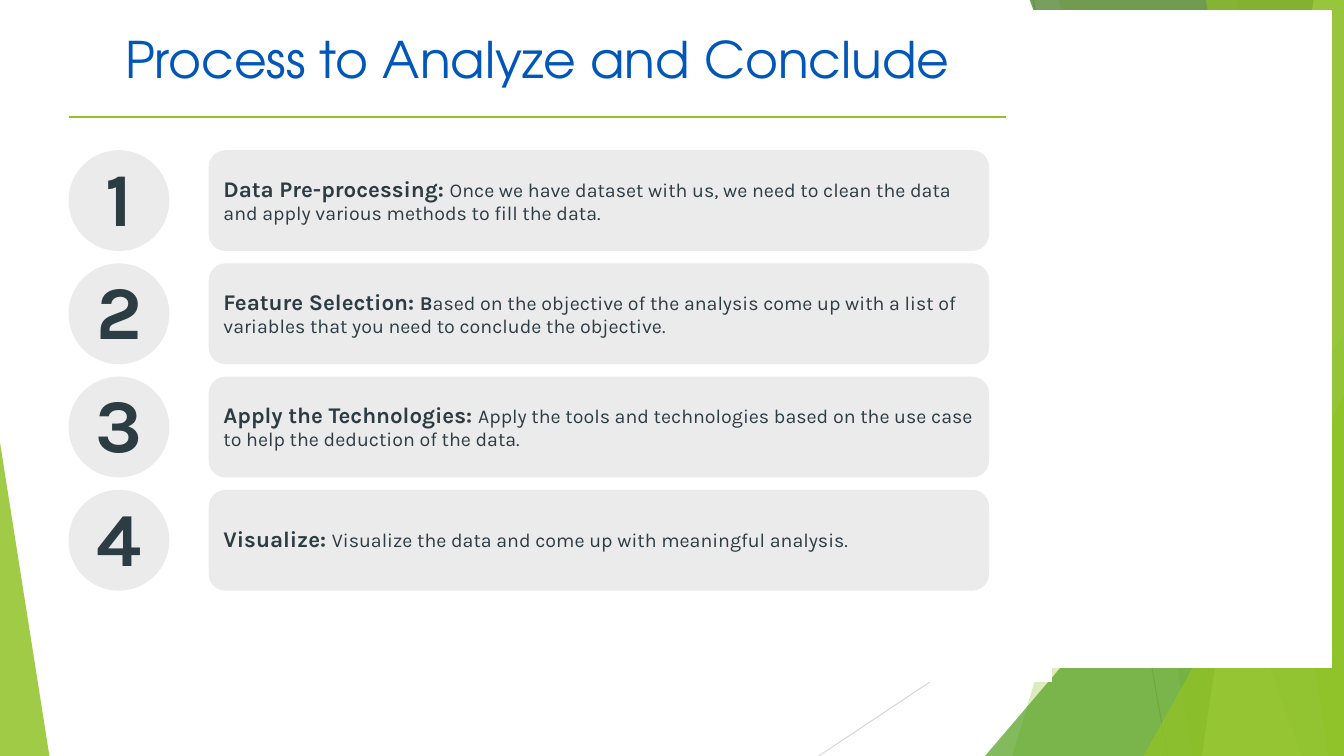
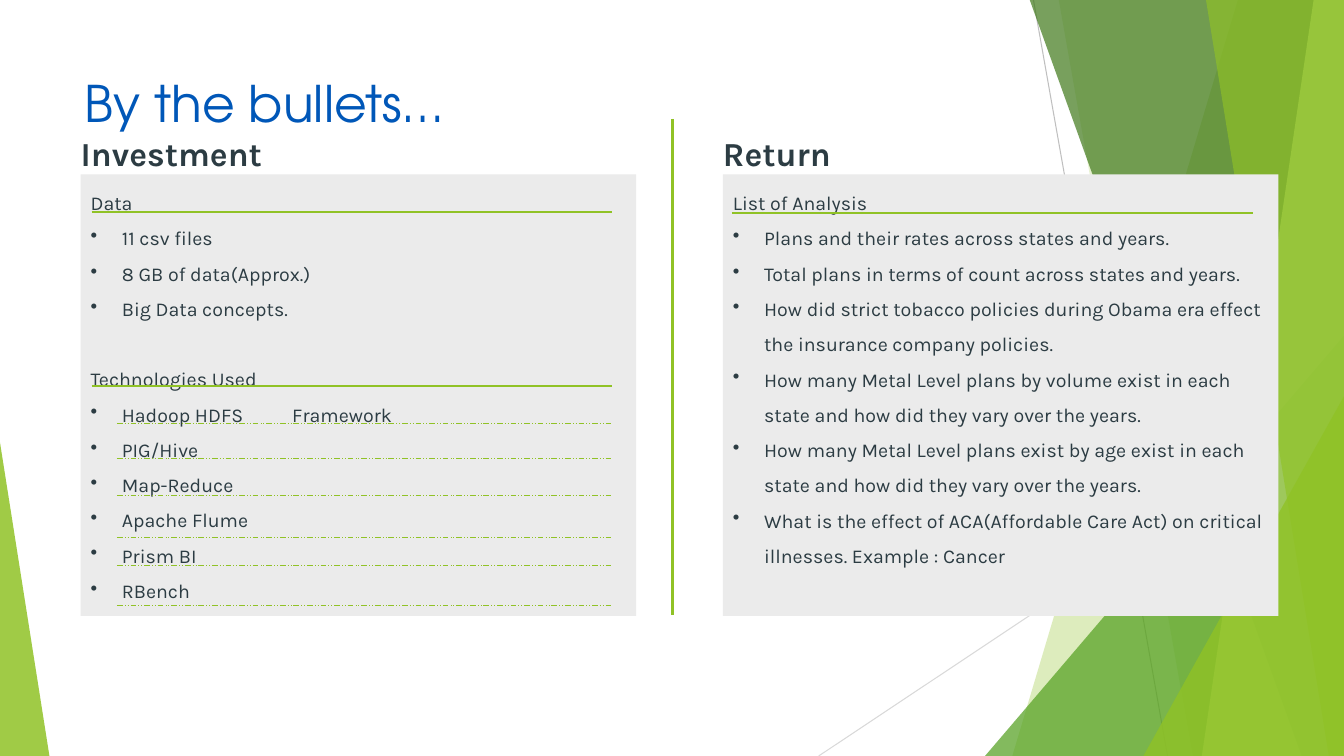
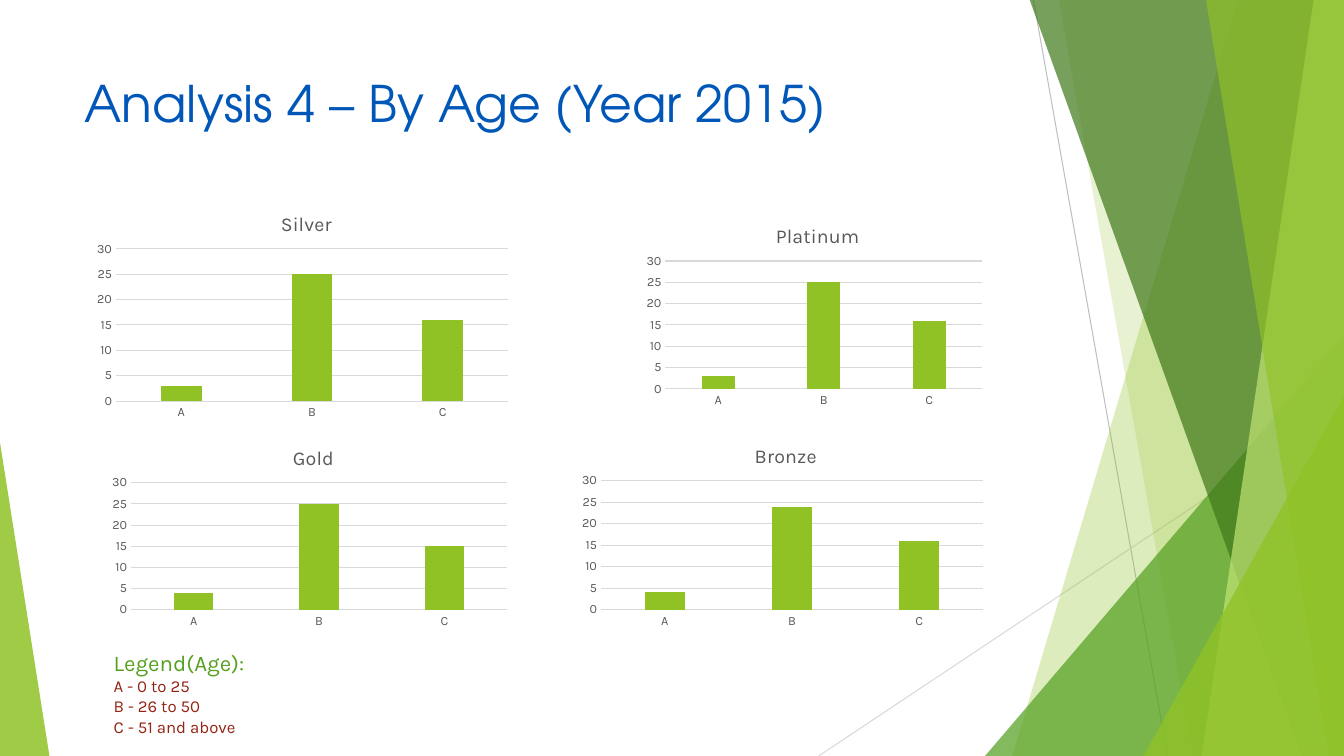
"""Build three slides on insurance plan analysis: process, bullets and charts by age."""
from lxml.etree import SubElement
from pptx import Presentation
from pptx.chart.data import CategoryChartData
from pptx.dml.color import RGBColor
from pptx.enum.chart import XL_CHART_TYPE, XL_TICK_MARK
from pptx.enum.dml import MSO_LINE
from pptx.enum.shapes import MSO_CONNECTOR, MSO_SHAPE
from pptx.enum.text import MSO_ANCHOR, PP_ALIGN
from pptx.oxml.ns import qn
from pptx.util import Inches, Pt

LIME = RGBColor(0x90, 0xC2, 0x26)
PALE_LIME = RGBColor(0xC0, 0xE4, 0x74)
GREEN = RGBColor(0x54, 0xA0, 0x21)
DARK_GREEN = RGBColor(0x3F, 0x78, 0x19)
BLUE = RGBColor(0x00, 0x57, 0xB8)
SLATE = RGBColor(0x2C, 0x3C, 0x43)
RED = RGBColor(0x93, 0x23, 0x13)
WHITE = RGBColor(0xFF, 0xFF, 0xFF)
PANEL = RGBColor(0xEB, 0xEB, 0xEB)
SILVER = RGBColor(0xD9, 0xD9, 0xD9)
GRAY = RGBColor(0xBF, 0xBF, 0xBF)
CHART_TEXT = RGBColor(0x59, 0x59, 0x59)
BODY_FONT = "Karla"
TITLE_FONT = "TeX Gyre Adventor"


def paint(sp, color, alpha=100):
    sp.shadow.inherit = False
    sp.fill.solid()
    sp.fill.fore_color.rgb = color
    if alpha < 100:
        clr = sp.element.find(".//" + qn("a:srgbClr"))
        SubElement(clr, qn("a:alpha")).set("val", str(alpha * 1000))
    sp.line.fill.background()
    return sp


def add_run(p, text, size, color, bold=False, font=BODY_FONT):
    r = p.add_run()
    r.text = text
    r.font.name, r.font.size, r.font.bold = font, Pt(size), bold
    r.font.color.rgb = color


prs = Presentation()
prs.slide_width, prs.slide_height = Inches(13.33), Inches(7.5)
blank = prs.slide_layouts[6]
for ph in list(blank.placeholders):
    blank.shapes.element.remove(ph.element)
process, bullets, ages = [prs.slides.add_slide(blank) for _ in range(3)]

rays = process.shapes.add_group_shape()
wedges = process.shapes.add_group_shape()
for place, color, alpha in [
    ((12.28, 10.04), LIME, 30), ((10.5, 11.83), LIME, 20), ((9.77, 3.33, 3.56, 4.17), GREEN, 72),
    ((10.21, 12.91), DARK_GREEN, 70), ((13.03, 11.92), PALE_LIME, 70), ((11.96, 13.18), LIME, 65),
    ((11.34, 3.93, 1.99, 3.57), LIME, 80), ((0, 4.39, 0.49, 3.11), LIME, 85),
]:
    if len(place) == 4:
        sp = wedges.shapes.add_shape(MSO_SHAPE.ISOSCELES_TRIANGLE, *map(Inches, place))
        sp.adjustments[0] = 1 if place[0] else 0
    else:
        top_x, bottom_x = place
        outline = wedges.shapes.build_freeform(Inches(top_x), Inches(-0.01))
        outline.add_line_segments([(Inches(x), Inches(y)) for x, y in
                                   [(13.33, -0.01), (13.33, 7.5), (bottom_x, 7.5)]])
        sp = outline.convert_to_shape()
    paint(sp, color, alpha)

for s, text, box, align in [
    (process, "Process to Analyze and Conclude", (0.68, 0.23, 9.3, 0.92), PP_ALIGN.CENTER),
    (bullets, "By the bullets…", (0.74, 0.67, 9.4, 1.44), PP_ALIGN.LEFT),
    (ages, "Analysis 4 – By Age (Year 2015)", (0.74, 0.67, 9.4, 1.44), PP_ALIGN.LEFT),
]:
    tf = s.shapes.add_textbox(*map(Inches, box)).text_frame
    tf.word_wrap = True
    tf.paragraphs[0].alignment = align
    add_run(tf.paragraphs[0], text, 36, BLUE, font=TITLE_FONT)

steps = [
    [("Data Pre-processing: ", 16, True),
     ("Once we have dataset with us, we need to clean the data and apply various methods to fill the data.", 14, False)],
    [("Feature Selection: ", 16, True), ("B", 14, True),
     ("ased on the objective of the analysis come up with a list of variables that you need to conclude the objective.",
      14, False)],
    [("Apply the Technologies: ", 16, True),
     ("Apply the tools and technologies based on the use case to help the deduction of the data.", 14, False)],
    [("Visualize: ", 16, True), ("Visualize the data and come up with meaningful analysis.", 14, False)],
]
step_pitch = (4.86 - 1.49) / 3
for i, step in enumerate(steps):
    for kind, left, width, align, runs in [
        (MSO_SHAPE.OVAL, 0.68, 1, PP_ALIGN.CENTER, [(str(i + 1), 54, True)]),
        (MSO_SHAPE.ROUNDED_RECTANGLE, 2.07, 7.74, PP_ALIGN.LEFT, step),
    ]:
        sp = process.shapes.add_shape(kind, Inches(left), Inches(1.49 + i * step_pitch), Inches(width), Inches(1))
        tf = paint(sp, PANEL).text_frame
        tf.word_wrap = True
        tf.vertical_anchor = MSO_ANCHOR.MIDDLE
        p = tf.paragraphs[0]
        p.alignment, p.line_spacing = align, 0.95
        for text, size, bold in runs:
            add_run(p, text, size, SLATE, bold)

for box in [(10.24, 0.11, 2.96, 6.51), (0.68, 5.99, 9.75, 0.77)]:
    sp = paint(process.shapes.add_shape(MSO_SHAPE.RECTANGLE, *map(Inches, box)), WHITE)
    sp.line.color.rgb, sp.line.width = WHITE, Pt(1)

columns = [
    (0.8, "Investment", [
        ("Data", ["11 csv files", "8 GB of data(Approx.)", "Big Data concepts."]),
        ("Technologies Used", ["Hadoop HDFS\tFramework", "PIG/Hive", "Map-Reduce", "Apache Flume",
                               "Prism BI", "RBench"])]),
    (7.17, "Return", [
        ("List of Analysis", [
            "Plans and their rates across states and years.",
            "Total plans in terms of count across states and years.",
            "How did strict tobacco policies during Obama era effect the insurance company policies.",
            "How many Metal Level plans by volume exist in each state and how did they vary over the years.",
            "How many Metal Level plans exist by age exist in each state and how did they vary over the years.",
            "What is the effect of ACA(Affordable Care Act) on critical illnesses. Example : Cancer"])]),
]
for left, heading, sections in columns:
    tf = bullets.shapes.add_textbox(Inches(left), Inches(1.32), Inches(3.25), Inches(0.4)).text_frame
    tf.word_wrap = True
    tf.margin_left = tf.margin_right = tf.margin_top = tf.margin_bottom = 0
    add_run(tf.paragraphs[0], heading, 24, SLATE, True)
    sp = bullets.shapes.add_shape(MSO_SHAPE.RECTANGLE, Inches(left), Inches(1.73), Inches(5.51), Inches(4.38))
    tf = paint(sp, PANEL).text_frame
    tf.word_wrap = True
    tf.vertical_anchor = MSO_ANCHOR.TOP
    p = tf.paragraphs[0]
    for n, (topic, items) in enumerate(sections):
        for j, text in enumerate([topic] + items):
            if n or j:
                p = tf.add_paragraph()
            p.alignment, p.line_spacing = PP_ALIGN.LEFT, 1.5
            if n and not j:
                p.space_before = Pt(25)
            if j:
                pPr = p._p.get_or_add_pPr()
                pPr.set("marL", str(Inches(0.31)))
                pPr.set("indent", str(-Inches(0.31)))
                SubElement(pPr, qn("a:buChar")).set("char", "•")
            add_run(p, text, 14, SLATE)

lines = [
    (rays, 10.25, 0, 11.58, 7.5, GRAY, 0.75, None),
    (rays, 13.33, 4.03, 8.12, 7.5, SILVER, 0.75, None),
    (process, 0.68, 1.16, 9.98, 1.16, LIME, 1.5, None),
    (bullets, 6.67, 1.18, 6.67, 6.1, LIME, 1.5, None),
    (bullets, 0.91, 2.1, 6.07, 2.1, LIME, 1.5, None),
    (bullets, 0.91, 3.83, 6.07, 3.83, LIME, 1.5, None),
    (bullets, 7.26, 2.11, 12.43, 2.11, LIME, 1.5, None),
]
lines += [(bullets, 1.16, y, 6.07, y, LIME, 0.5, MSO_LINE.DASH_DOT_DOT)
          for y in (4.2, 4.55, 4.91, 5.33, 5.61, 6.01)]
for s, x1, y1, x2, y2, color, width, dash in lines:
    line = s.shapes.add_connector(MSO_CONNECTOR.STRAIGHT, Inches(x1), Inches(y1), Inches(x2), Inches(y2))
    line.line.color.rgb, line.line.width = color, Pt(width)
    if dash:
        line.line.dash_style = dash
    SubElement(line.element.spPr, qn("a:effectLst"))

for group in (rays, wedges):
    blank.shapes.element.append(group.element)

for name, title_x, (left, top, width, height), values in [
    ("Silver", 2.75, (0.88, 1.91, 4.24, 2.3), (3, 25, 16)),
    ("Platinum", 7.66, (6.33, 2.03, 3.49, 2.06), (3, 25, 16)),
    ("Gold", 2.87, (1.03, 4.23, 4.08, 2.05), (4, 25, 15)),
    ("Bronze", 7.45, (5.69, 4.21, 4.14, 2.07), (4, 24, 16)),
]:
    data = CategoryChartData()
    data.categories = ["A", "B", "C"]
    data.add_series("Series 1", values)
    chart = ages.shapes.add_chart(XL_CHART_TYPE.COLUMN_CLUSTERED, Inches(left), Inches(top),
                                  Inches(width), Inches(height), data).chart
    chart.font.name, chart.font.size = BODY_FONT, Pt(10)
    chart.has_legend = False
    chart.has_title = True
    add_run(chart.chart_title.text_frame.paragraphs[0], name, 14, CHART_TEXT)
    plot = chart.plots[0]
    plot.gap_width, plot.overlap, plot.vary_by_categories = 219, -27, False
    fill = plot.series[0].format.fill
    fill.solid()
    fill.fore_color.rgb = LIME
    cat, val = chart.category_axis, chart.value_axis
    for axis in (cat, val):
        axis.major_tick_mark = axis.minor_tick_mark = XL_TICK_MARK.NONE
        font = axis.tick_labels.font
        font.name, font.size, font.color.rgb = BODY_FONT, Pt(9), CHART_TEXT
    val.minimum_scale, val.maximum_scale, val.major_unit = 0, 30, 5
    val.format.line.fill.background()
    for rule in (cat.format.line, val.major_gridlines.format.line):
        rule.color.rgb, rule.width = SILVER, Pt(0.75)
    title_place = {"xMode": "edge", "yMode": "edge", "x": (title_x - left) / width, "y": 0.15 / height}
    plot_place = {"layoutTarget": "inner", "xMode": "edge", "yMode": "edge", "x": 0.27 / width,
                  "y": 0.56 / height, "w": 1 - 0.35 / width, "h": 1 - 0.79 / height}
    plot_area = chart.element.find(".//" + qn("c:plotArea"))
    for parent, index, place in [(chart.chart_title.element, 1, title_place), (plot_area, 0, plot_place)]:
        for old in parent.findall(qn("c:layout")):
            parent.remove(old)
        layout = SubElement(parent, qn("c:layout"))
        parent.insert(index, layout)
        manual = SubElement(layout, qn("c:manualLayout"))
        for key, value in place.items():
            SubElement(manual, qn("c:" + key)).set("val", str(value))

tf = ages.shapes.add_textbox(Inches(1.03), Inches(6.39), Inches(2.5), Inches(0.98)).text_frame
tf.word_wrap = True
add_run(tf.paragraphs[0], "Legend(Age):", 16, GREEN)
for text in ["A - 0 to 25", "B - 26 to 50", "C - 51 and above"]:
    add_run(tf.add_paragraph(), text, 12, RED)

prs.save("out.pptx")
